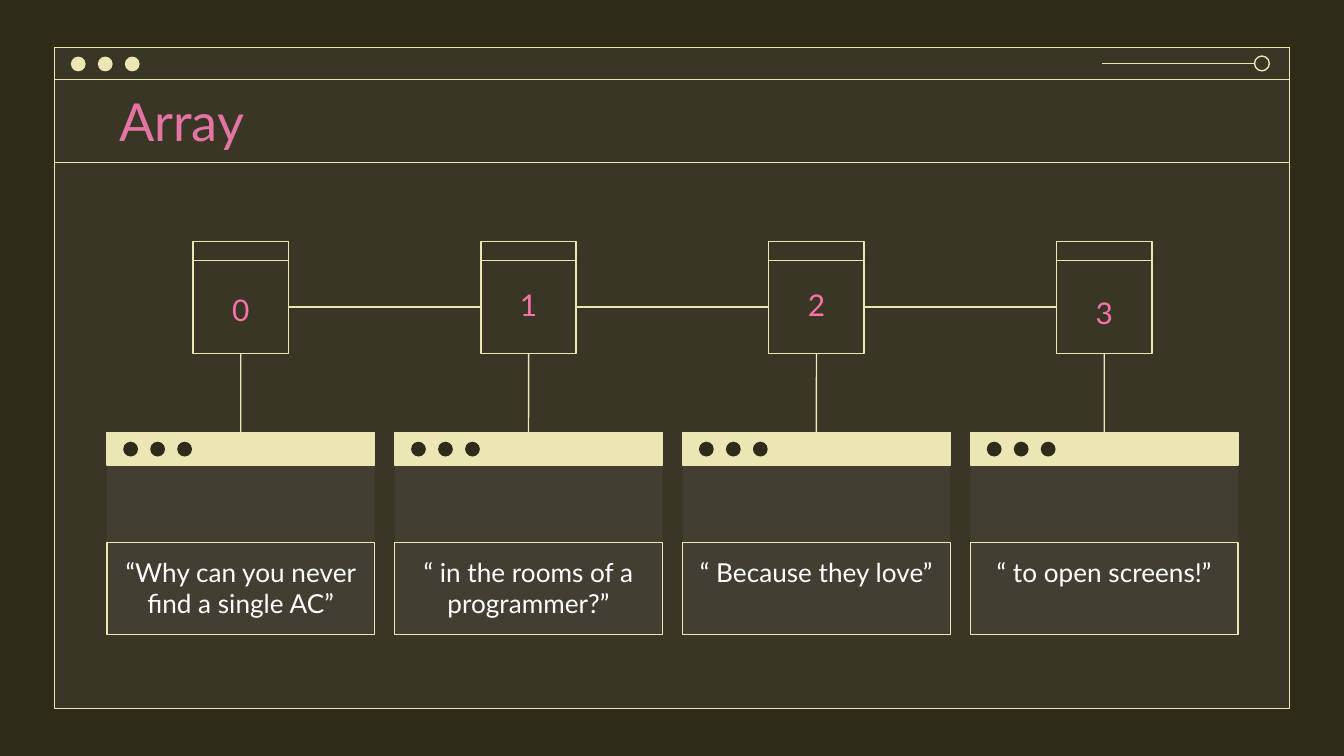
from typing import NamedTuple

import lxml.etree
import pptx
import pptx.dml.color
import pptx.enum.shapes
import pptx.enum.text
import pptx.oxml.ns
import pptx.util

Cm = pptx.util.Cm
Pt = pptx.util.Pt
SHAPE = pptx.enum.shapes.MSO_SHAPE
ANCHOR = pptx.enum.text.MSO_ANCHOR
ALIGN = pptx.enum.text.PP_ALIGN
qn = pptx.oxml.ns.qn

COLOURS = {
    "background": "2F2B19",
    "cream": "ECE5B4",
    "panel": "7C7C7C",
    "pink": "F673A9",
    "white": "FFFFFF",
}
FONT = "Lato"
PANEL_OPACITY = 14
CARD_PITCH = 5.44
ITEMS = [
    ("0", 5.11, "“Why can you never find a single AC”"),
    ("1", 5.03, "“ in the rooms of a programmer?”"),
    ("2", 5.03, "“ Because they love”"),
    ("3", 5.18, "“ to open screens!”"),
]


class Box(NamedTuple):
    left: float
    top: float
    width: float
    height: float

    def lengths(self):
        return [Cm(value) for value in self]


def colour(name):
    return pptx.dml.color.RGBColor.from_string(COLOURS[name])


def add_shape(page, box, kind=SHAPE.RECTANGLE, fill=None, line=None, opacity=None):
    shape = page.shapes.add_shape(kind, *box.lengths())
    shape.shadow.inherit = False
    if fill:
        shape.fill.solid()
        shape.fill.fore_color.rgb = colour(fill)
    else:
        shape.fill.background()
    if opacity:
        tint = shape.fill._xPr.find(".//" + qn("a:srgbClr"))
        lxml.etree.SubElement(tint, qn("a:alpha"), val=str(opacity * 1000))
    if line:
        shape.line.color.rgb = colour(line)
        shape.line.width = Pt(0.75)
    else:
        shape.line.fill.background()
    return shape


def add_line(page, start=(0, 0), end=(0, 0)):
    points = [Cm(value) for value in (*start, *end)]
    line = page.shapes.add_connector(pptx.enum.shapes.MSO_CONNECTOR.STRAIGHT, *points)
    line.line.color.rgb = colour("cream")
    line.line.width = Pt(0.75)
    lxml.etree.SubElement(line._element.spPr, qn("a:effectLst"))
    return line


def join(page, first, first_side, second, second_side):
    line = add_line(page)
    line.begin_connect(first, first_side)
    line.end_connect(second, second_side)


def write(shape, text, size, name, align=ALIGN.CENTER, anchor=ANCHOR.MIDDLE, after=0):
    frame = shape.text_frame
    frame.word_wrap = True
    frame.auto_size = pptx.enum.text.MSO_AUTO_SIZE.NONE
    frame.vertical_anchor = anchor
    frame.margin_left = frame.margin_right = Cm(0.25)
    frame.margin_top = frame.margin_bottom = Cm(0.25)
    para = frame.paragraphs[0]
    para.alignment = align
    para.space_before = Pt(0)
    para.space_after = Pt(after)
    span = para.add_run()
    span.text = text
    span.font.name = FONT
    span.font.size = Pt(size)
    span.font.color.rgb = colour(name)


def add_dots(page, bar, fill):
    for index in range(3):
        dot = Box(bar.left + 0.31 + 0.51 * index, bar.top + 0.17, 0.28, 0.28)
        add_shape(page, dot, SHAPE.OVAL, fill=fill)


def add_window(page, box):
    add_shape(page, box, fill="panel", opacity=PANEL_OPACITY)
    add_shape(page, box, line="cream")
    bar = box._replace(height=0.6)
    add_shape(page, bar, line="cream")
    add_dots(page, bar, "cream")
    right = box.left + box.width
    middle = bar.top + bar.height / 2
    knob = Box(right - 0.66, middle - 0.14, 0.28, 0.28)
    add_shape(page, knob, SHAPE.OVAL, line="cream")
    add_line(page, (right - 3.55, middle), (knob.left, middle))
    divider = box.top + 2.17
    add_line(page, (box.left, divider), (right, divider))


def add_title(page, box, text):
    title = page.shapes.title
    title.left, title.top, title.width, title.height = box.lengths()
    write(title, text, 28, "pink", align=ALIGN.LEFT)


def add_card(page, box, text):
    header = box._replace(height=0.61)
    panel = Box(box.left, box.top + 0.61, box.width, box.height - 0.61)
    caption = Box(box.left, box.top + 2.08, box.width, box.height - 2.08)
    add_shape(page, panel, fill="panel", opacity=PANEL_OPACITY)
    head = add_shape(page, header, fill="cream", line="cream")
    add_dots(page, header, "background")
    note = add_shape(page, caption, line="cream")
    write(note, text, 14, "white", anchor=ANCHOR.TOP, after=16)
    return head


def add_cell(page, box, index_box, index):
    label = page.shapes.add_textbox(*index_box.lengths())
    write(label, index, 16, "pink")
    add_shape(page, box._replace(height=0.36), line="cream")
    body = Box(box.left, box.top + 0.36, box.width, box.height - 0.36)
    return add_shape(page, body, line="cream")


def add_array(page, box):
    previous = None
    for position, (index, label_top, text) in enumerate(ITEMS):
        left = box.left + CARD_PITCH * position
        card = Box(left, box.top + 3.61, 5.06, box.height - 3.61)
        cell = Box(left + 1.63, box.top, 1.8, 2.11)
        head = add_card(page, card, text)
        body = add_cell(page, cell, Box(left, label_top, 5.06, 1.47), index)
        join(page, body, 2, head, 0)
        if previous is not None:
            join(page, previous, 3, body, 1)
        previous = body


def main():
    deck = pptx.Presentation()
    deck.slide_width = Cm(25.4)
    deck.slide_height = Cm(14.29)
    page = deck.slides.add_slide(deck.slide_layouts[5])
    page.background.fill.solid()
    page.background.fill.fore_color.rgb = colour("background")
    add_window(page, Box(1.03, 0.9, 23.34, 12.49))
    add_title(page, Box(2, 1.5, 21.42, 1.57), "Array")
    add_array(page, Box(2.02, 4.57, 21.38, 7.42))
    deck.save("out.pptx")


if __name__ == "__main__":
    main()
